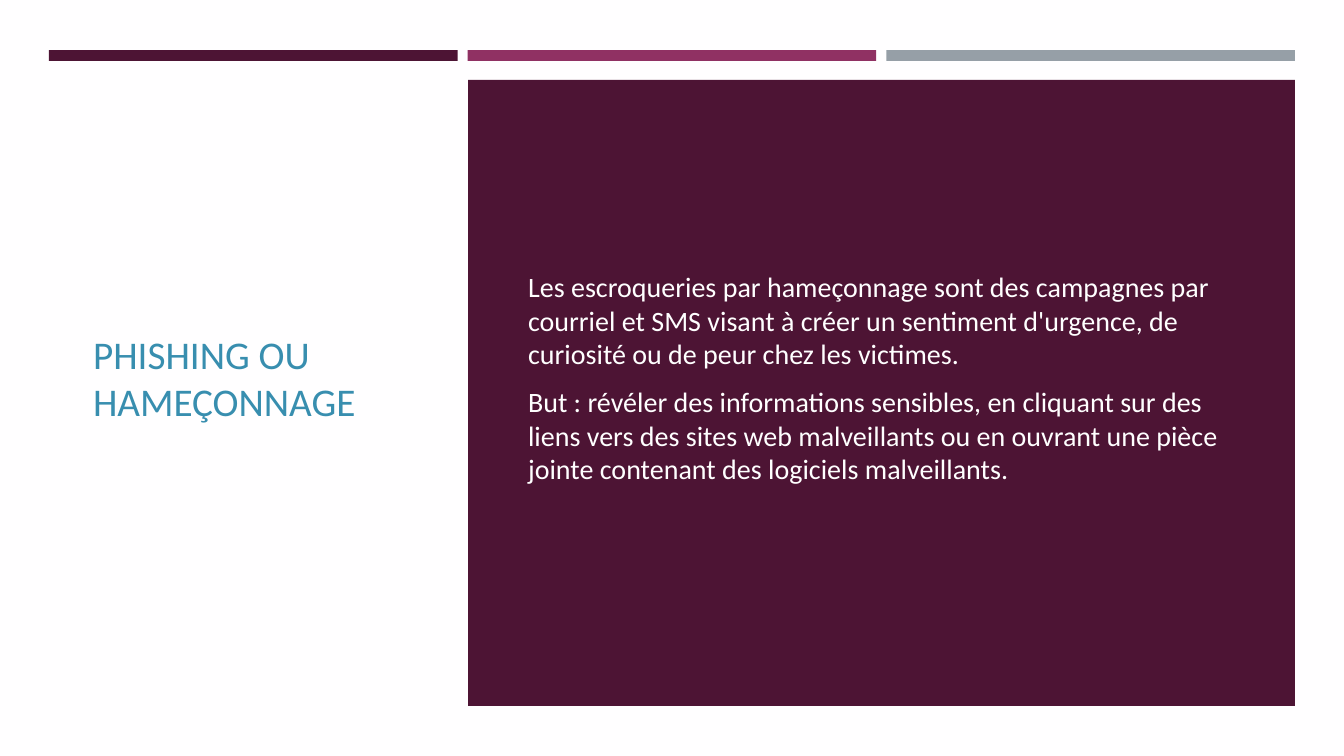
import pptx
import pptx.dml.color
import pptx.enum.shapes
import pptx.enum.text
import pptx.oxml.ns
import pptx.util
import lxml.etree

EMU_PER_PX = 914400 / 100.8
FONT = "Calibri"
COLOURS = {
    "background": "FFFEFF",
    "title": "388EAF",
    "plum": "4D1434",
    "magenta": "903163",
    "grey": "969FA7",
    "body": "FFFFFF",
}
TITLE = "PHISHING OU HAMEÇONNAGE"
BODY = [
    "Les escroqueries par hameçonnage sont des campagnes par courriel et SMS visant à "
    "créer un sentiment d'urgence, de curiosité ou de peur chez les victimes.",
    "But : révéler des informations sensibles, en cliquant sur des liens vers des sites "
    "web malveillants ou en ouvrant une pièce jointe contenant des logiciels malveillants.",
]


def px(length):
    return pptx.util.Emu(round(length * EMU_PER_PX))


def colour(name):
    return pptx.dml.color.RGBColor.from_string(COLOURS[name])


def add_bar(slide, box, fill):
    bar = slide.shapes.add_shape(
        pptx.enum.shapes.MSO_SHAPE.RECTANGLE, *map(px, box))
    bar.shadow.inherit = False
    bar.fill.solid()
    bar.fill.fore_color.rgb = colour(fill)
    bar.line.fill.background()


def place_text(holder, box, paragraphs, size, fill):
    """Move a placeholder into the box and fill it with left-aligned text."""
    holder.left, holder.top, holder.width, holder.height = map(px, box)
    frame = holder.text_frame
    frame.text = "\n".join(paragraphs)
    frame.word_wrap = True
    frame.auto_size = pptx.enum.text.MSO_AUTO_SIZE.NONE
    frame.vertical_anchor = pptx.enum.text.MSO_ANCHOR.MIDDLE
    for para in frame.paragraphs:
        para.alignment = pptx.enum.text.PP_ALIGN.LEFT
        para.font.name = FONT
        para.font.size = pptx.util.Pt(size)
        para.font.color.rgb = colour(fill)


def add_top_bars(slide, box, gap):
    left, top, width, height = box
    fills = ["plum", "magenta", "grey"]
    bar_width = (width - gap * (len(fills) - 1)) / len(fills)
    for index, fill in enumerate(fills):
        add_bar(slide, (left + index * (bar_width + gap), top, bar_width, height), fill)


def add_body_panel(slide, box):
    left, top, width, height = box
    add_bar(slide, box, "plum")
    body = slide.placeholders[1]
    # Bring the text in front of the panel
    slide.shapes._spTree.append(body._element)
    text_box = (left + 50, top + 38, width - 99, height - 107)
    # Plain paragraphs: no bullet, no indent
    body.text_frame.text = "\n".join(BODY)
    place_text(body, text_box, BODY, 20, "body")
    for index, para in enumerate(body.text_frame.paragraphs):
        properties = para._p.get_or_add_pPr()
        properties.set("marL", "0")
        properties.set("indent", "0")
        para.space_before = pptx.util.Pt(4 if index else 0)
        para.space_after = pptx.util.Pt(6)
        bullet = lxml.etree.Element(pptx.oxml.ns.qn("a:buNone"))
        properties.find(pptx.oxml.ns.qn("a:spcAft")).addnext(bullet)


def build_slide(deck):
    slide = deck.slides.add_slide(deck.slide_layouts[1])
    slide.background.fill.solid()
    slide.background.fill.fore_color.rgb = colour("background")
    place_text(slide.shapes.title, (83, 118, 337, 519), [TITLE], 28, "title")
    add_top_bars(slide, (49, 50, 1246, 11), 10)
    add_body_panel(slide, (468, 80, 827, 626))


def main():
    deck = pptx.Presentation()
    deck.slide_width, deck.slide_height = px(1344), px(756)
    build_slide(deck)
    deck.save("out.pptx")


if __name__ == "__main__":
    main()
